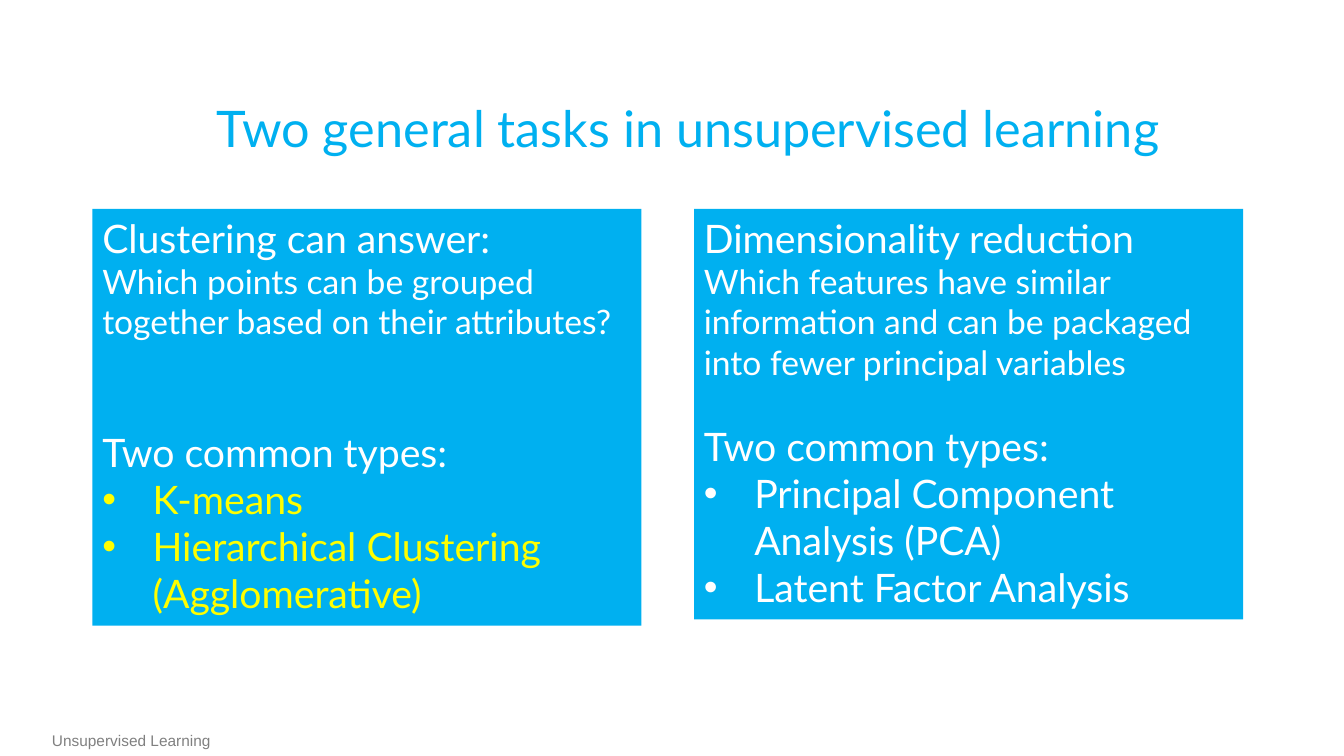
from lxml.etree import SubElement
from pptx import Presentation
from pptx.dml.color import RGBColor
from pptx.enum.shapes import MSO_SHAPE
from pptx.enum.text import MSO_ANCHOR, PP_ALIGN
from pptx.oxml.ns import qn
from pptx.util import Pt

PX = 9525
BLUE, WHITE, YELLOW, GREY = "00B0F0", "FFFFFF", "FFFF00", "808080"
INDENT = 48


def color(hex_value):
    return RGBColor.from_string(hex_value)


def write(paragraph, text, size, hex_value, name="Lato"):
    run = paragraph.add_run()
    run.text = text
    run.font.color.rgb = color(hex_value)
    for attribute, value in {"size": Pt(size), "name": name}.items():
        setattr(run.font, attribute, value)


presentation = Presentation()
presentation.slide_width = 1280 * PX
presentation.slide_height = 720 * PX
slide = presentation.slides.add_slide(presentation.slide_layouts[6])

# Footer and title: box, text, size, colour, font, alignment
labels = [
    ((40, 692, 218, 28), "Unsupervised Learning", 11, GREY, "Arial", PP_ALIGN.LEFT),
    ((126, 88, 1059, 68), "Two general tasks in unsupervised learning", 36, BLUE, "Lato",
     PP_ALIGN.CENTER),
]
for box, text, size, hex_value, name, alignment in labels:
    frame = slide.shapes.add_textbox(*(length * PX for length in box)).text_frame
    frame.word_wrap = True
    frame.paragraphs[0].alignment = alignment
    write(frame.paragraphs[0], text, size, hex_value, name)

# Task panels: left, height, heading, question, gap in points, list colour, types
panels = [
    (88, 397, "Clustering can answer:",
     "Which points can be grouped together based on their attributes?",
     62, YELLOW, ["K-means", "Hierarchical Clustering (Agglomerative)"]),
    (661, 391, "Dimensionality reduction",
     "Which features have similar information and can be packaged into fewer "
     "principal variables",
     29, WHITE, ["Principal Component Analysis (PCA)", "Latent Factor Analysis"]),
]
for left, height, heading, question, gap, list_color, types in panels:
    panel = slide.shapes.add_shape(
        MSO_SHAPE.RECTANGLE, left * PX, 199 * PX, 523 * PX, height * PX)
    panel.shadow.inherit = False
    panel.fill.solid()
    panel.fill.fore_color.rgb = color(BLUE)
    panel.line.fill.background()
    frame = panel.text_frame
    frame.word_wrap = True
    frame.vertical_anchor = MSO_ANCHOR.TOP

    lines = [(heading, 28, WHITE, 0, False), (question, 24, WHITE, 0, False),
             ("Two common types:", 28, WHITE, gap, False)]
    lines += [(kind, 28, list_color, 0, True) for kind in types]
    for index, (text, size, hex_value, space, bulleted) in enumerate(lines):
        paragraph = frame.add_paragraph() if index else frame.paragraphs[0]
        paragraph.alignment = PP_ALIGN.LEFT
        if bulleted:
            properties = paragraph._p.get_or_add_pPr()
            properties.set("marL", str(INDENT * PX))
            properties.set("indent", str(-INDENT * PX))
            SubElement(properties, qn("a:buFont"), typeface="Arial")
            SubElement(properties, qn("a:buChar"), char="•")
        if space:
            paragraph.space_before = Pt(space)
        write(paragraph, text, size, hex_value)

presentation.save("out.pptx")
